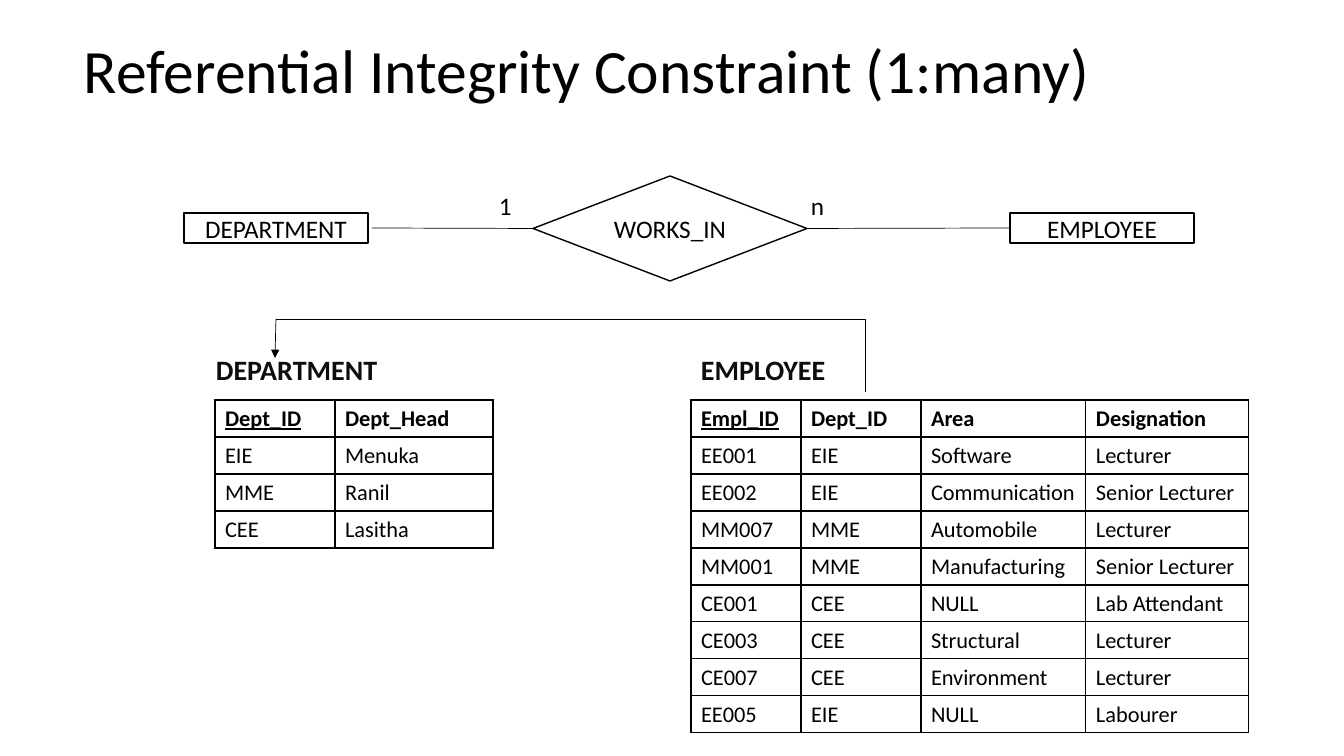
"""Builds a slide on a one-to-many referential integrity constraint."""
from lxml.etree import SubElement
from pptx import Presentation
from pptx.dml.color import RGBColor
from pptx.enum.shapes import MSO_CONNECTOR as Connector, MSO_SHAPE as Preset
from pptx.enum.text import MSO_ANCHOR as Anchor, PP_ALIGN as Align
from pptx.oxml.ns import qn
from pptx.util import Pt

EMU_PER_PX = 914400 / 100.8
COLORS = {"black": "000000", "heading": "0D0D0D", "white": "FFFFFF"}
TITLE = {"size": Pt(44)}
LABEL = {"size": Pt(18)}
HEADING = {"size": Pt(20), "bold": True}
CELL = {"size": Pt(16)}
ROW_HEIGHT = 37
TABLE_TOP = 400


def px(*lengths):
    return [round(length * EMU_PER_PX) for length in lengths]


def write(frame, text, formats, color="black"):
    paragraph = frame.paragraphs[0]
    run = paragraph.add_run()
    run.text = text
    for name, value in {"name": "Calibri", **formats}.items():
        setattr(run.font, name, value)
    run.font.color.rgb = RGBColor.from_string(COLORS[color])
    return paragraph


presentation = Presentation()
presentation.slide_width, presentation.slide_height = px(1344, 756)
slide = presentation.slides.add_slide(presentation.slide_layouts[6])
shapes = slide.shapes

texts = [
    ("Referential Integrity Constraint (1:many)", (74, 1, 1159, 146), TITLE, "black"),
    ("1", (489, 185, 110, 40), LABEL, "black"),
    ("n", (801, 185, 88, 40), LABEL, "black"),
    ("DEPARTMENT", (206, 348, 204, 44), HEADING, "heading"),
    ("EMPLOYEE", (691, 348, 204, 44), HEADING, "heading"),
]
for text, box, formats, color in texts:
    frame = shapes.add_textbox(*px(*box)).text_frame
    frame.word_wrap = True
    paragraph = write(frame, text, formats, color)
    if formats is TITLE:
        frame.vertical_anchor = Anchor.MIDDLE
        paragraph.line_spacing = 0.9

diagram = {}
nodes = [
    ("DEPARTMENT", Preset.RECTANGLE, (184, 213, 184, 30)),
    ("EMPLOYEE", Preset.RECTANGLE, (1010, 213, 184, 30)),
    ("WORKS_IN", Preset.DIAMOND, (533, 176, 274, 105)),
]
for text, preset, box in nodes:
    shape = shapes.add_shape(preset, *px(*box))
    shape.shadow.inherit = False
    shape.fill.solid()
    shape.fill.fore_color.rgb = RGBColor.from_string(COLORS["white"])
    shape.line.color.rgb = RGBColor.from_string(COLORS["black"])
    shape.line.width = Pt(1)
    shape.text_frame.vertical_anchor = Anchor.MIDDLE
    write(shape.text_frame, text, LABEL).alignment = Align.CENTER
    diagram[text] = shape

lines = {
    "department link": (372, 228, 533, 228),
    "employee link": (807, 229, 1010, 228),
    "key top": (865, 319, 276, 319),
    "key arrow": (276, 319, 275, 358),
    "key stem": (865, 319, 865, 392),
}
connectors = {}
for name, ends in lines.items():
    connector = shapes.add_connector(Connector.STRAIGHT, *px(*ends))
    connector.line.color.rgb = RGBColor.from_string(COLORS["black"])
    connector.line.width = Pt(0.5)
    SubElement(connector._element.spPr, qn("a:effectLst"))
    connectors[name] = connector
connectors["department link"].end_connect(diagram["WORKS_IN"], 1)
connectors["employee link"].begin_connect(diagram["WORKS_IN"], 3)
connectors["employee link"].end_connect(diagram["EMPLOYEE"], 1)
arrow_line = connectors["key arrow"].line._get_or_add_ln()
SubElement(arrow_line, qn("a:tailEnd"), type="triangle")

department_rows = [
    ("Dept_ID", "Dept_Head"),
    ("EIE", "Menuka"),
    ("MME", "Ranil"),
    ("CEE", "Lasitha"),
]
employee_rows = [
    ("Empl_ID", "Dept_ID", "Area", "Designation"),
    ("EE001", "EIE", "Software", "Lecturer"),
    ("EE002", "EIE", "Communication", "Senior Lecturer"),
    ("MM007", "MME", "Automobile", "Lecturer"),
    ("MM001", "MME", "Manufacturing", "Senior Lecturer"),
    ("CE001", "CEE", "NULL", "Lab Attendant"),
    ("CE003", "CEE", "Structural", "Lecturer"),
    ("CE007", "CEE", "Environment", "Lecturer"),
    ("EE005", "EIE", "NULL", "Labourer"),
]
tables = [
    (215, (120, 158), department_rows),
    (691, (110, 120, 165, 163), employee_rows),
]
for left, widths, rows in tables:
    box = px(left, TABLE_TOP, sum(widths), ROW_HEIGHT * len(rows))
    table = shapes.add_table(len(rows), len(widths), *box).table
    for column, width in zip(table.columns, px(*widths)):
        column.width = width
    for row_index, row in enumerate(rows):
        for column_index, text in enumerate(row):
            cell = table.cell(row_index, column_index)
            is_header = row_index == 0
            is_key = is_header and column_index == 0
            write(cell.text_frame, text, {**CELL, "bold": is_header, "underline": is_key})
            properties = cell._tc.get_or_add_tcPr()
            for side in ("lnL", "lnR", "lnT", "lnB"):
                border = SubElement(properties, qn(f"a:{side}"), w=str(Pt(1)))
                border_fill = SubElement(border, qn("a:solidFill"))
                SubElement(border_fill, qn("a:srgbClr"), val=COLORS["black"])
            cell.fill.background()

presentation.save("out.pptx")
